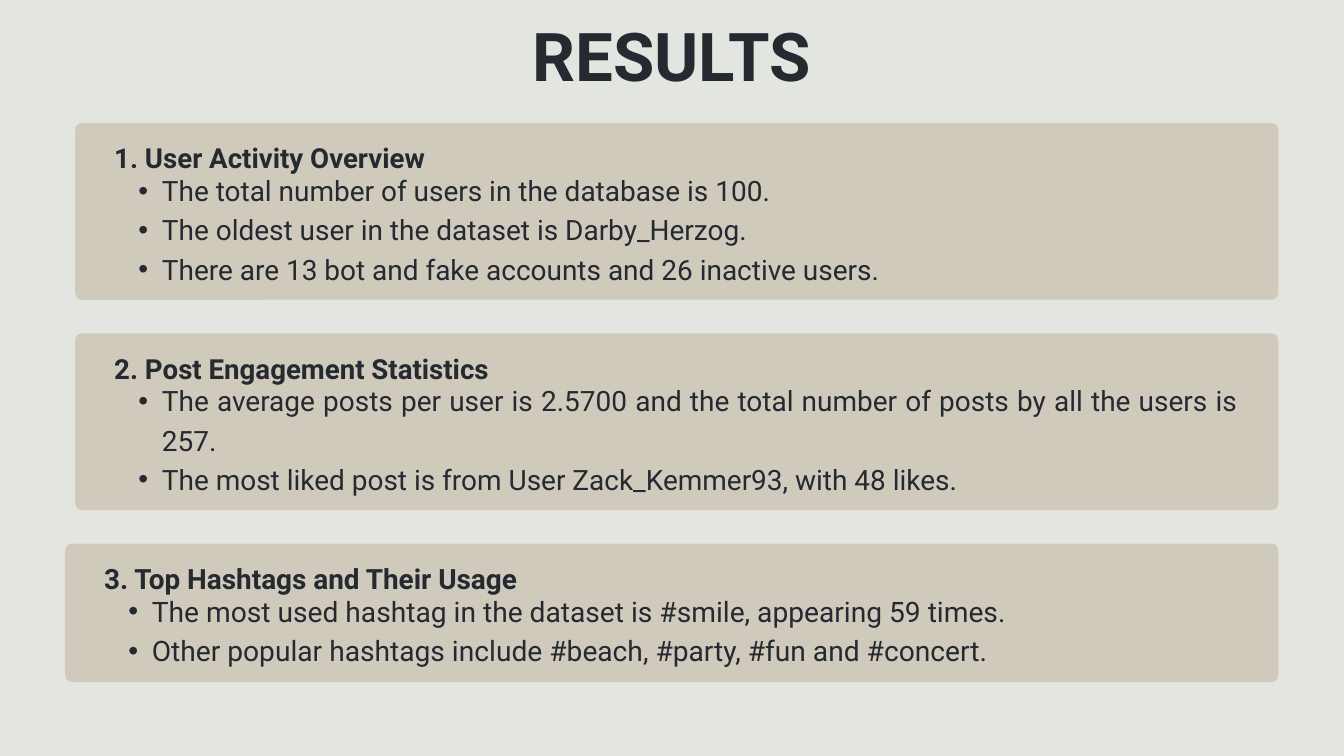
import pptx
import pptx.util
import pptx.dml.color
import pptx.enum.shapes
import pptx.enum.text
import pptx.oxml.ns
import lxml.etree

Pt = pptx.util.Pt
Align = pptx.enum.text.PP_ALIGN
INK = pptx.dml.color.RGBColor(0x25, 0x29, 0x30)
SAND = pptx.dml.color.RGBColor(0xC0, 0xB3, 0xA0)
PAPER = pptx.dml.color.RGBColor(0xE3, 0xE6, 0xE0)
WIDTH = pptx.util.Inches(20)
HEIGHT = pptx.util.Inches(11.25)
COL, ROW = WIDTH / 100, HEIGHT / 100
RIGHT, TOP, GAP = 95.12, 16.27, 4.44

PANELS = [
    (5.6, 23.38, 29.6, 30, "1. User Activity Overview", [
        "The total number of users in the database is 100.",
        "The oldest user in the dataset is Darby_Herzog.",
        "There are 13 bot and fake accounts and 26 inactive users.",
    ]),
    (5.6, 23.38, 29.6, 30, "2. Post Engagement Statistics", [
        "The average posts per user is 2.5700 and the total number of posts "
        "by all the users is 257.",
        "The most liked post is from User Zack_Kemmer93, with 48 likes.",
    ]),
    (4.85, 18.31, 29.9, 30.2, "3. Top Hashtags and Their Usage", [
        "The most used hashtag in the dataset is #smile, appearing 59 times.",
        "Other popular hashtags include #beach, #party, #fun and #concert.",
    ]),
]


def place(left, top, width, height):
    return [round(n) for n in (left * COL, top * ROW, width * COL, height * ROW)]


def child(node, tag, **attrs):
    return lxml.etree.SubElement(node, pptx.oxml.ns.qn(tag), **attrs)


def bullet(par):
    par.level = 1
    props = par._p.get_or_add_pPr()
    props.set("marL", str(round(3.55 * COL)))
    props.set("indent", str(round(-1.75 * COL)))
    child(props, "a:buFont", typeface="Arial")
    child(props, "a:buChar", char="•")


def write(shapes, box, lines, size, lead, align, bold=False, dots=False):
    frame = shapes.add_textbox(*place(*box)).text_frame
    frame.margin_left = frame.margin_right = 0
    frame.margin_top = frame.margin_bottom = 0
    frame.word_wrap = True
    frame.auto_size = pptx.enum.text.MSO_AUTO_SIZE.SHAPE_TO_FIT_TEXT
    for i, line in enumerate(lines):
        par = frame.add_paragraph() if i else frame.paragraphs[0]
        par.text = line
        par.alignment = align
        par.line_spacing = Pt(lead * size)
        par.font.name = "Roboto"
        par.font.size = Pt(size)
        par.font.bold = bold
        par.font.color.rgb = INK
        if dots:
            bullet(par)


def title(slide, box):
    write(slide.shapes, box, ["RESULTS"], 72, 0.8, Align.CENTER, bold=True)


def panel(slide, box, small, size, head, points):
    left, top, width, height = box
    shapes = slide.shapes.add_group_shape().shapes
    card = shapes.add_shape(
        pptx.enum.shapes.MSO_SHAPE.ROUNDED_RECTANGLE, *place(*box))
    card.adjustments[0] = 0.9 / height
    card.shadow.inherit = False
    card.fill.solid()
    card.fill.fore_color.rgb = SAND
    card.line.fill.background()
    tint = card._element.spPr.find(".//" + pptx.oxml.ns.qn("a:srgbClr"))
    child(tint, "a:alpha", val="54000")
    left += 2.9
    write(shapes, (left, top + 1.69, width * 0.52, 4.89), [head],
          small, 1.4, Align.JUSTIFY, bold=True)
    write(shapes, (left, top + 5.96, width - 5.9, height - 8), points,
          size, 1.4, Align.JUSTIFY, dots=True)


def main():
    deck = pptx.Presentation()
    deck.slide_width, deck.slide_height = WIDTH, HEIGHT
    slide = deck.slides.add_slide(deck.slide_layouts[6])
    slide.background.fill.solid()
    slide.background.fill.fore_color.rgb = PAPER
    title(slide, (23.45, 5.51, 53.05, 8))
    top = TOP
    for left, height, small, size, head, points in PANELS:
        panel(slide, (left, top, RIGHT - left, height), small, size, head, points)
        top += height + GAP
    deck.save("out.pptx")


if __name__ == "__main__":
    main()
